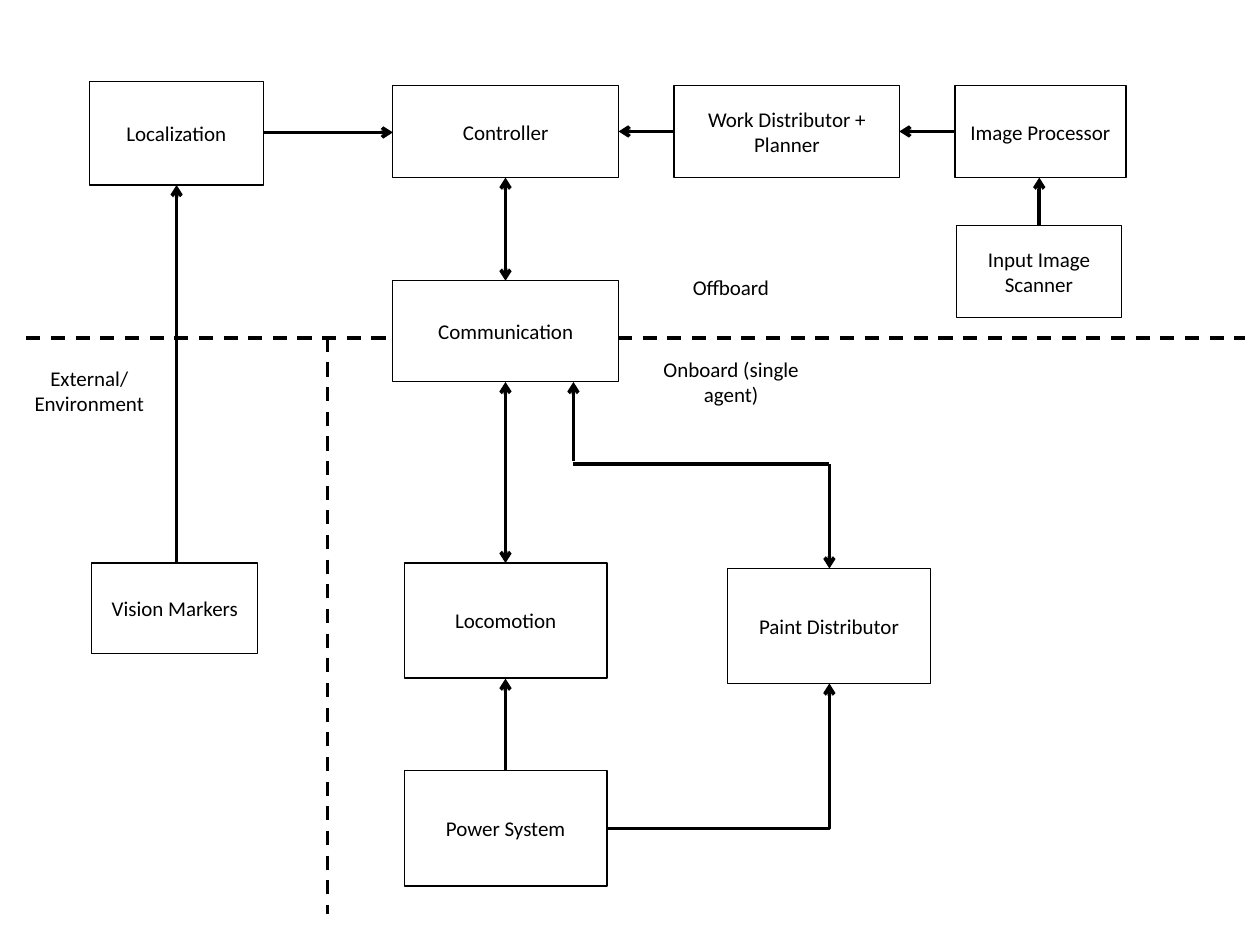
import pptx
import pptx.util
import pptx.dml.color
import pptx.enum.dml
import pptx.enum.shapes
import pptx.enum.text
import lxml.etree
from pptx.oxml.ns import qn
from dataclasses import dataclass

Cm = pptx.util.Cm
Pt = pptx.util.Pt
RGB = pptx.dml.color.RGBColor
MSO_CONNECTOR = pptx.enum.shapes.MSO_CONNECTOR
MSO_ANCHOR = pptx.enum.text.MSO_ANCHOR


@dataclass
class Theme:
    ink: RGB = RGB(0, 0, 0)
    paper: RGB = RGB(255, 255, 255)
    font: str = "Calibri"
    size: Pt = Pt(12)
    border: Pt = Pt(0.75)
    wire: Pt = Pt(2)


theme = Theme()
prs = pptx.Presentation()
prs.slide_width, prs.slide_height = Cm(25.4), Cm(19.05)
s = prs.slides.add_slide(prs.slide_layouts[6])


def write(sp, text):
    p = sp.text_frame.paragraphs[0]
    p.text = text
    p.alignment = pptx.enum.text.PP_ALIGN.CENTER
    p.font.name = theme.font
    p.font.size = theme.size
    p.font.color.rgb = theme.ink


def connect(points, ends=(), kind=MSO_CONNECTOR.STRAIGHT):
    c = s.shapes.add_connector(kind, *[Cm(v) for v in points])
    c.line.color.rgb = theme.ink
    c.line.width = theme.wire
    ln = c.line._get_or_add_ln()
    for end in ends:
        lxml.etree.SubElement(ln, qn(f"a:{end}"), type="arrow")
    lxml.etree.SubElement(c._element.spPr, qn("a:effectLst"))
    return c


for boundary in [(0.53, 6.81, 25.1, 6.81), (6.6, 6.81, 6.6, 18.42)]:
    c = connect(boundary)
    c.line.dash_style = pptx.enum.dml.MSO_LINE.DASH

boxes = [
    ("Localization", 1.8, 1.65, 3.51, 2.08),
    ("Controller", 7.92, 1.73, 4.55, 1.85),
    ("Work Distributor + Planner", 13.59, 1.73, 4.55, 1.85),
    ("Image Processor", 19.25, 1.73, 3.45, 1.85),
    ("Input Image Scanner", 19.28, 4.55, 3.33, 1.85),
    ("Communication", 7.92, 5.66, 4.55, 2.03),
    ("Vision Markers", 1.85, 11.35, 3.35, 1.83),
    ("Locomotion", 8.15, 11.35, 4.09, 2.32),
    ("Paint Distributor", 14.67, 11.46, 4.09, 2.32),
    ("Power System", 8.15, 15.54, 4.09, 2.32),
]
for text, *box in boxes:
    sp = s.shapes.add_shape(pptx.enum.shapes.MSO_SHAPE.RECTANGLE, *[Cm(v) for v in box])
    sp.shadow.inherit = False
    if text == "Communication":
        sp.fill.solid()
        sp.fill.fore_color.rgb = theme.paper
    else:
        sp.fill.background()
    sp.line.color.rgb = theme.ink
    sp.line.width = theme.border
    sp.text_frame.vertical_anchor = MSO_ANCHOR.MIDDLE
    write(sp, text)

labels = [
    ("Offboard", False, 13.59, 5.41, 2.29, 0.97),
    ("Onboard (single agent)", True, 13, 7.06, 3.48, 1.6),
    ("External/ Environment", True, 0.25, 7.24, 3.1, 1.65),
]
for text, wrap, *box in labels:
    sp = s.shapes.add_textbox(*[Cm(v) for v in box])
    tf = sp.text_frame
    tf.word_wrap = wrap
    tf.auto_size = pptx.enum.text.MSO_AUTO_SIZE.SHAPE_TO_FIT_TEXT
    write(sp, text)

for top, bottom in [(3.58, 5.66), (7.7, 11.35)]:
    connect((10.19, top, 10.19, bottom), ("headEnd", "tailEnd"))

arrows = [
    (3.56, 11.35, 3.56, 3.73),
    (5.3, 2.67, 7.92, 2.67),
    (13.59, 2.65, 12.47, 2.65),
    (19.25, 2.65, 18.13, 2.65),
    (20.95, 4.55, 20.95, 3.58),
    (10.19, 15.54, 10.19, 13.68),
    (11.56, 9.3, 11.56, 7.7),
    (16.72, 9.35, 16.72, 11.46),
]
for points in arrows:
    connect(points, ("tailEnd",))
connect((11.56, 9.35, 16.72, 9.35))

power_feed = connect((12.24, 16.7, 16.72, 13.78), ("tailEnd",), MSO_CONNECTOR.ELBOW)
power_feed._element.spPr.find(qn("a:prstGeom")).set("prst", "bentConnector2")

prs.save("out.pptx")
